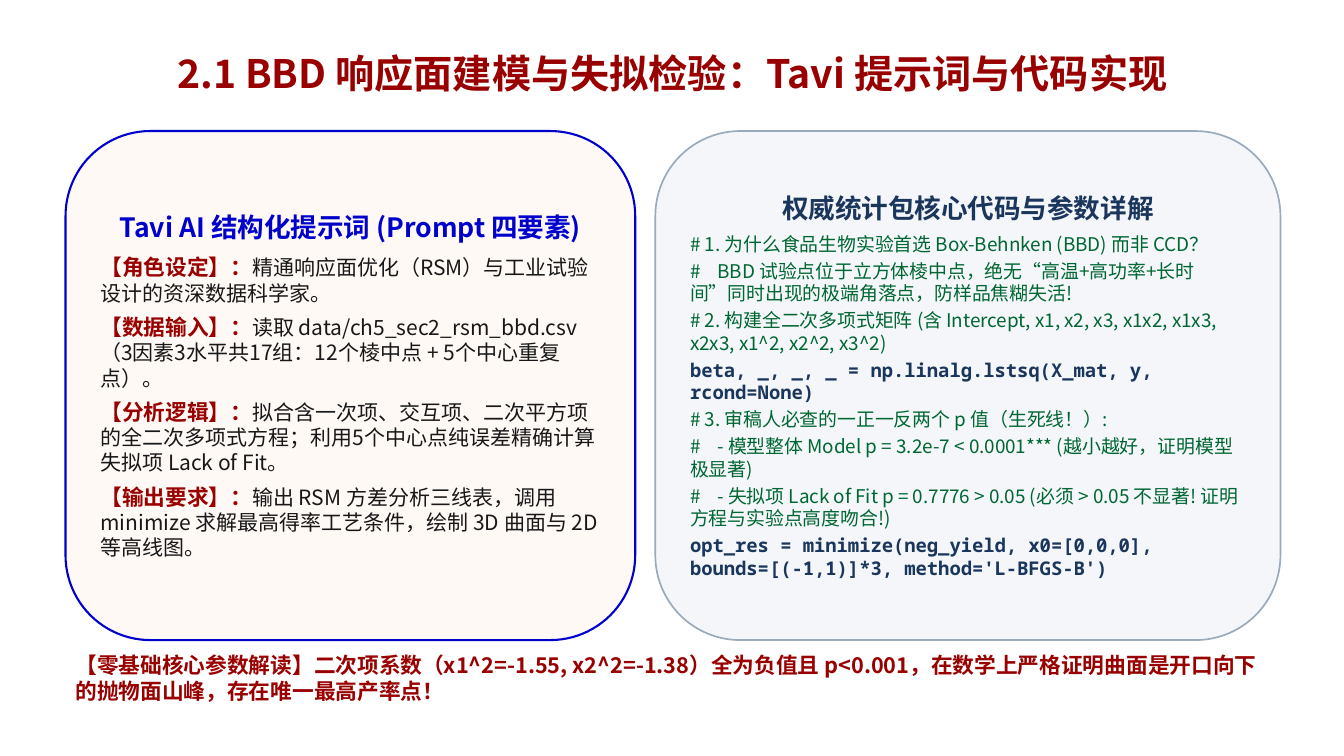
import pptx
import pptx.dml.color
import pptx.enum.shapes
import pptx.enum.text
import pptx.oxml.ns
import pptx.util
import lxml.etree

ALIGN = pptx.enum.text.PP_ALIGN
SANS, MONO = "Noto Sans CJK SC", "Noto Sans Mono"
RED, BLUE, NAVY, GREEN, INK = "990000", "0000CC", "1B365D", "006633", "181818"
CELL = 0.05


def colour(code):
    return pptx.dml.color.RGBColor.from_string(code)


class Sheet:
    """Draws styled text and panels on one slide, measured in grid cells."""

    def __init__(self, slide):
        self.slide = slide

    def place(self, *cells):
        return [pptx.util.Inches(round(n * CELL, 2)) for n in cells]

    def add_run(self, paragraph, words, size, code, bold=False, face=SANS):
        run = paragraph.add_run()
        run.text = words
        run.font.size = pptx.util.Pt(size)
        run.font.bold = bold
        run.font.color.rgb = colour(code)
        run.font.name = face
        east_asian = lxml.etree.SubElement(run.font._element, pptx.oxml.ns.qn("a:ea"))
        east_asian.set("typeface", face)

    def fill_frame(self, frame, paragraphs):
        frame.word_wrap = True
        for index, (align, after, runs) in enumerate(paragraphs):
            paragraph = frame.add_paragraph() if index else frame.paragraphs[0]
            paragraph.alignment = align
            paragraph.space_after = pptx.util.Pt(after)
            for run in runs:
                self.add_run(paragraph, *run)

    def add_text(self, cells, paragraphs, anchor=pptx.enum.text.MSO_ANCHOR.TOP):
        frame = self.slide.shapes.add_textbox(*self.place(*cells)).text_frame
        frame.vertical_anchor = anchor
        self.fill_frame(frame, paragraphs)
        return frame

    def add_panel(self, cells, fill, edge, weight, paragraphs):
        panel = self.slide.shapes.add_shape(
            pptx.enum.shapes.MSO_SHAPE.ROUNDED_RECTANGLE, *self.place(*cells))
        panel.shadow.inherit = False
        panel.fill.solid()
        panel.fill.fore_color.rgb = colour(fill)
        panel.line.color.rgb = colour(edge)
        panel.line.width = pptx.util.Pt(weight)
        panel.text_frame.vertical_anchor = pptx.enum.text.MSO_ANCHOR.MIDDLE
        self.fill_frame(panel.text_frame, paragraphs)


PROMPT_PARTS = [
    ("角色设定", "精通响应面优化（RSM）与工业试验设计的资深数据科学家。"),
    ("数据输入", "读取 data/ch5_sec2_rsm_bbd.csv（3因素3水平共17组：12个棱中点 + 5个中心重复点）。"),
    ("分析逻辑", "拟合含一次项、交互项、二次平方项的全二次多项式方程；利用5个中心点纯误差精确计算失拟项 Lack of Fit。"),
    ("输出要求", "输出 RSM 方差分析三线表，调用 minimize 求解最高得率工艺条件，绘制 3D 曲面与 2D 等高线图。"),
]
CODE_LINES = [
    "# 1. 为什么食品生物实验首选 Box-Behnken (BBD) 而非 CCD？",
    "#    BBD 试验点位于立方体棱中点，绝无“高温+高功率+长时间”同时出现的极端角落点，防样品焦糊失活!",
    "# 2. 构建全二次多项式矩阵 (含 Intercept, x1, x2, x3, x1x2, x1x3, x2x3, x1^2, x2^2, x3^2)",
    "beta, _, _, _ = np.linalg.lstsq(X_mat, y, rcond=None)",
    "# 3. 审稿人必查的一正一反两个 p 值（生死线！）:",
    "#    - 模型整体 Model p = 3.2e-7 < 0.0001*** (越小越好，证明模型极显著)",
    "#    - 失拟项 Lack of Fit p = 0.7776 > 0.05 (必须 > 0.05 不显著! 证明方程与实验点高度吻合!)",
    "opt_res = minimize(neg_yield, x0=[0,0,0], bounds=[(-1,1)]*3, method='L-BFGS-B')",
]
READING = ("【零基础核心参数解读】二次项系数（x1^2=-1.55, x2^2=-1.38）全为负值且 p<0.001，"
           "在数学上严格证明曲面是开口向下的抛物面山峰，存在唯一最高产率点！")


def code_style(line):
    return (13.5, GREEN) if line.startswith("#") else (13.5, NAVY, True, MONO)


def main():
    deck = pptx.Presentation()
    deck.slide_width = pptx.util.Inches(13.33)
    deck.slide_height = pptx.util.Inches(7.5)
    sheet = Sheet(deck.slides.add_slide(deck.slide_layouts[6]))

    title = sheet.add_text(
        (18.4, 6.6, 230, 16.8),
        [(ALIGN.CENTER, 0, [("2.1 BBD 响应面建模与失拟检验：Tavi 提示词与代码实现", 28, RED, True)])],
        pptx.enum.text.MSO_ANCHOR.MIDDLE)
    title.paragraphs[0].line_spacing = 0.9

    prompt = [(ALIGN.CENTER, 8, [("Tavi AI 结构化提示词 (Prompt 四要素)", 19, BLUE, True)])]
    prompt += [(ALIGN.LEFT, 6, [(f"【{part}】：", 15.5, RED, True), (detail, 15, INK)])
               for part, detail in PROMPT_PARTS]
    sheet.add_panel((13, 26, 113, 101), "FFF9F5", BLUE, 1.5, prompt)

    code = [(ALIGN.CENTER, 6, [("权威统计包核心代码与参数详解", 19, NAVY, True)])]
    code += [(ALIGN.LEFT, 3, [(line, *code_style(line))]) for line in CODE_LINES]
    sheet.add_panel((130, 26, 124, 101), "F4F6F9", "99AABB", 1.2, code)

    sheet.add_text((13, 128.4, 241, 13), [(ALIGN.LEFT, 0, [(READING, 15.5, RED, True)])])
    deck.save("out.pptx")


if __name__ == "__main__":
    main()
